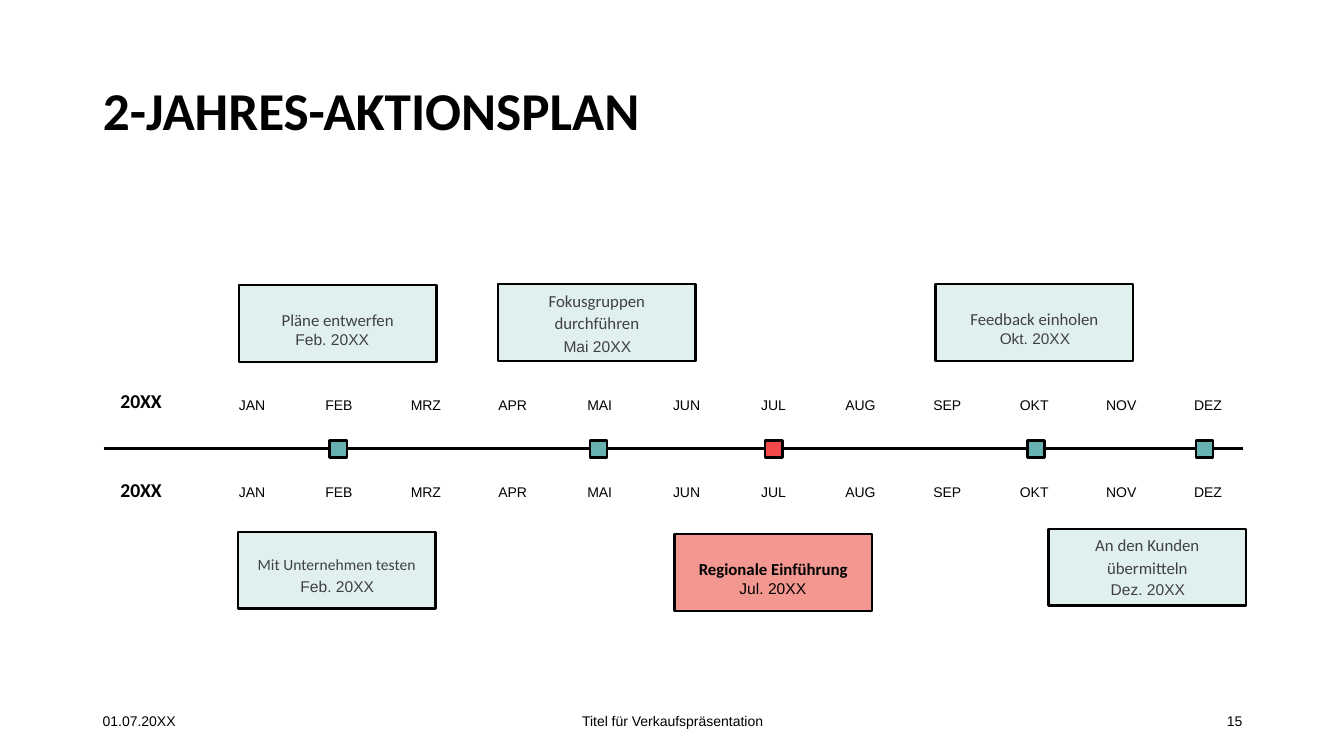
from lxml.etree import SubElement
from pptx import Presentation
from pptx.dml.color import RGBColor
from pptx.enum.shapes import MSO_CONNECTOR, MSO_SHAPE
from pptx.enum.text import MSO_ANCHOR, MSO_AUTO_SIZE, PP_ALIGN
from pptx.oxml.ns import qn
from pptx.util import Inches, Pt

COLORS = {
    "black": "000000", "gray": "404040", "mint": "E0F0EF",
    "teal": "66B2B0", "salmon": "F39891", "red": "F2494C",
}
MONTHS = ["JAN", "FEB", "MRZ", "APR", "MAI", "JUN",
          "JUL", "AUG", "SEP", "OKT", "NOV", "DEZ"]
MONTH_PITCH = 0.862

# Text formats
BODY = {"name": "Calibri", "size": 12, "bold": False, "color": "gray"}
SMALL_BODY = {**BODY, "size": 11.1}
STRONG = {**BODY, "bold": True, "color": "black"}
DATE = {"name": "Arial", "size": 11.1, "bold": False, "color": "gray"}
OCTOBER_DATE = {**DATE, "size": 11}
STRONG_DATE = {**DATE, "color": "black"}
LABEL = {"name": "Arial", "size": 10, "bold": False, "color": "black"}
YEAR = {"name": "Calibri", "size": 14, "bold": True, "color": "black"}
TITLE = {**YEAR, "size": 38}

# Card: left, top, fill, text, format, line spacing,
# then date, format, line spacing and offset from the card
CARDS = [
    (2.37, 2.83, "mint", "Pläne entwerfen", BODY, 2,
     "Feb. 20XX", DATE, 0.7, (0, 0.44)),
    (4.94, 2.82, "mint", "Fokusgruppen durchführen", BODY, 1.1,
     "Mai 20XX", DATE, 0.7, (0.06, 0.52)),
    (9.28, 2.82, "mint", "Feedback einholen", BODY, 2,
     "Okt. 20XX", OCTOBER_DATE, 0.9, (0.06, 0.42)),
    (2.36, 5.28, "mint", "Mit Unternehmen testen", SMALL_BODY, 2,
     "Feb. 20XX", DATE, 0.7, (0.06, 0.45)),
    (6.69, 5.3, "salmon", "Regionale Einführung", STRONG, 2,
     "Jul. 20XX", STRONG_DATE, 0.7, (0.05, 0.45)),
    (10.4, 5.25, "mint", "An den Kunden übermitteln", BODY, 1.1,
     "Dez. 20XX", DATE, 0.7, (0.06, 0.51)),
]
MARKERS = [(3.27, "teal"), (5.85, "teal"), (7.59, "red"),
           (10.19, "teal"), (11.86, "teal")]


def color(name):
    return RGBColor.from_string(COLORS[name])


def write(shape, text, style, align=PP_ALIGN.CENTER, spacing=0.9,
          anchor=MSO_ANCHOR.TOP, top_inset=0.05):
    frame = shape.text_frame
    frame_format = {
        "word_wrap": True, "auto_size": MSO_AUTO_SIZE.NONE,
        "vertical_anchor": anchor,
        "margin_left": Inches(0.1), "margin_right": Inches(0.1),
        "margin_top": Inches(top_inset), "margin_bottom": Inches(0.05),
    }
    for name, value in frame_format.items():
        setattr(frame, name, value)
    paragraph = frame.paragraphs[0]
    paragraph.alignment = align
    paragraph.line_spacing = spacing
    run = paragraph.add_run()
    run.text = text
    font_format = {"name": style["name"], "size": Pt(style["size"]),
                   "bold": style["bold"]}
    for name, value in font_format.items():
        setattr(run.font, name, value)
    run.font.color.rgb = color(style["color"])


def add_text(slide, box, text, style, **layout):
    shape = slide.shapes.add_textbox(*map(Inches, box))
    write(shape, text, style, **layout)


def add_rectangle(slide, box, fill):
    shape = slide.shapes.add_shape(MSO_SHAPE.RECTANGLE, *map(Inches, box))
    shape.shadow.inherit = False
    shape.fill.solid()
    shape.fill.fore_color.rgb = color(fill)
    shape.line.color.rgb = color("black")
    shape.line.width = Pt(1.75)
    return shape


def add_title(slide, box, text):
    title = slide.shapes.title
    for name, value in zip(("left", "top", "width", "height"), box):
        setattr(title, name, Inches(value))
    write(title, text, TITLE, align=PP_ALIGN.LEFT, anchor=MSO_ANCHOR.MIDDLE)


def add_axis(slide, left, top, width):
    line = slide.shapes.add_connector(
        MSO_CONNECTOR.STRAIGHT, Inches(left), Inches(top),
        Inches(left + width), Inches(top))
    line.line.color.rgb = color("black")
    line.line.width = Pt(2)
    SubElement(line._element.spPr, qn("a:effectLst"))


def add_markers(slide, top, size):
    for left, fill in MARKERS:
        add_rectangle(slide, (left, top, size, size), fill)


def add_year_row(slide, left, year_top, month_top):
    add_text(slide, (left, year_top, 0.8, 0.5), "20XX", YEAR,
             anchor=MSO_ANCHOR.MIDDLE)
    for index, month in enumerate(MONTHS):
        month_left = left + 1.15 + index * MONTH_PITCH
        add_text(slide, (month_left, month_top, 0.7, 0.3), month, LABEL)


def add_card(slide, left, top, fill, text, style, spacing,
             date, date_style, date_spacing, offset):
    card = add_rectangle(slide, (left, top, 1.96, 0.76), fill)
    write(card, text, style, spacing=spacing, top_inset=0.04)
    add_text(slide, (left + offset[0], top + offset[1], 1.85, 0.25),
             date, date_style, spacing=date_spacing)


def add_footer(slide, left, top, width, height):
    center_width, side_width = 4.5, 3
    parts = [
        (left, side_width, "01.07.20XX", PP_ALIGN.LEFT),
        (left + (width - center_width) / 2, center_width,
         "Titel für Verkaufspräsentation", PP_ALIGN.CENTER),
        (left + width - side_width, side_width, "15", PP_ALIGN.RIGHT),
    ]
    for part_left, part_width, text, align in parts:
        add_text(slide, (part_left, top, part_width, height), text, LABEL,
                 align=align, spacing=1, anchor=MSO_ANCHOR.MIDDLE)


def main():
    presentation = Presentation()
    presentation.slide_width = Inches(13.33)
    presentation.slide_height = Inches(7.5)
    slide = presentation.slides.add_slide(presentation.slide_layouts[5])

    add_title(slide, (0.92, 0.4, 11.5, 1.45), "2-JAHRES-AKTIONSPLAN")
    # Timeline
    add_axis(slide, 1.03, 4.45, 11.3)
    add_year_row(slide, 1, 3.74, 3.9)
    add_year_row(slide, 1, 4.62, 4.77)
    add_markers(slide, 4.37, 0.17)
    # Milestones
    for card in CARDS:
        add_card(slide, *card)
    add_footer(slide, 0.92, 6.95, 11.5, 0.4)

    presentation.save("out.pptx")


if __name__ == "__main__":
    main()
